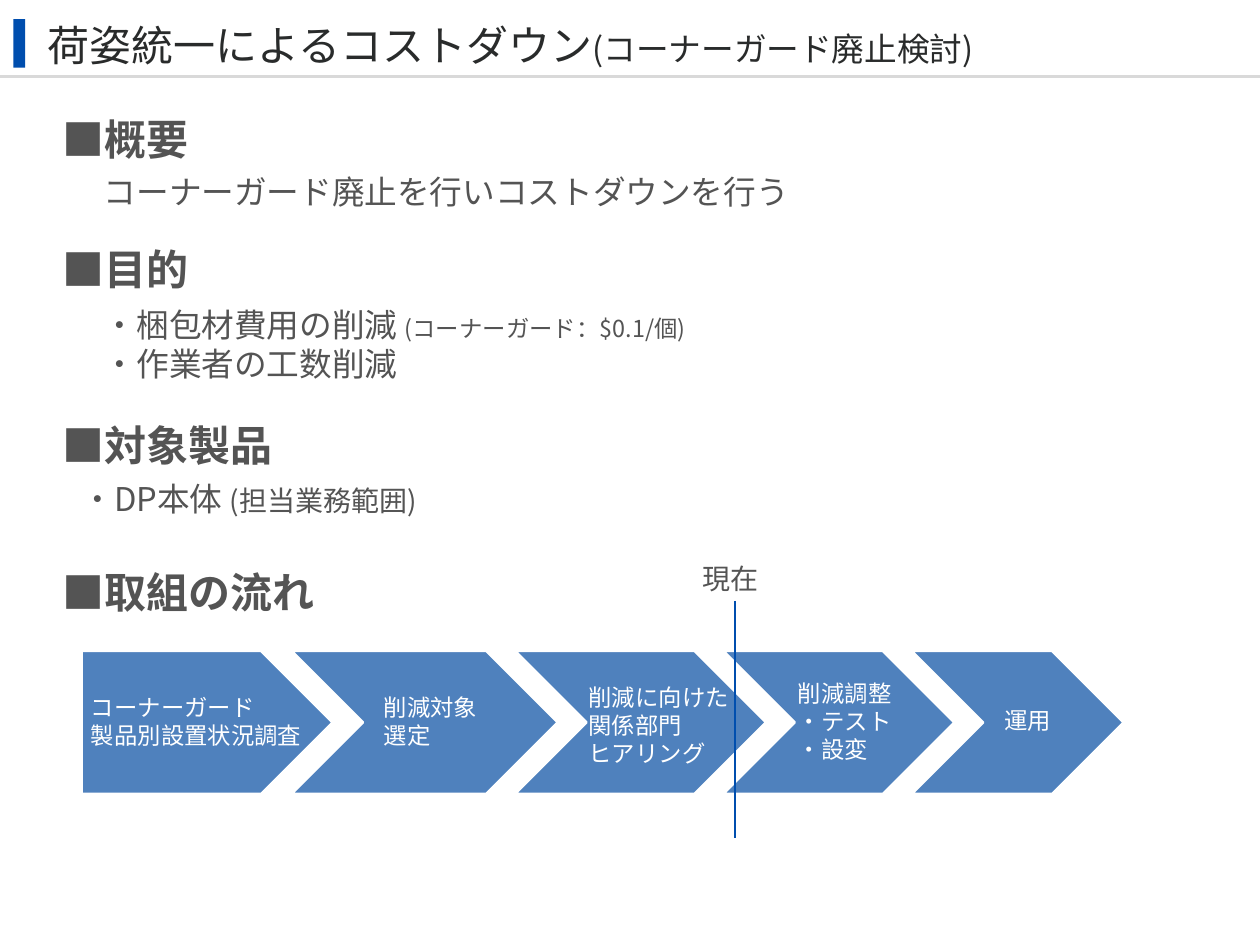
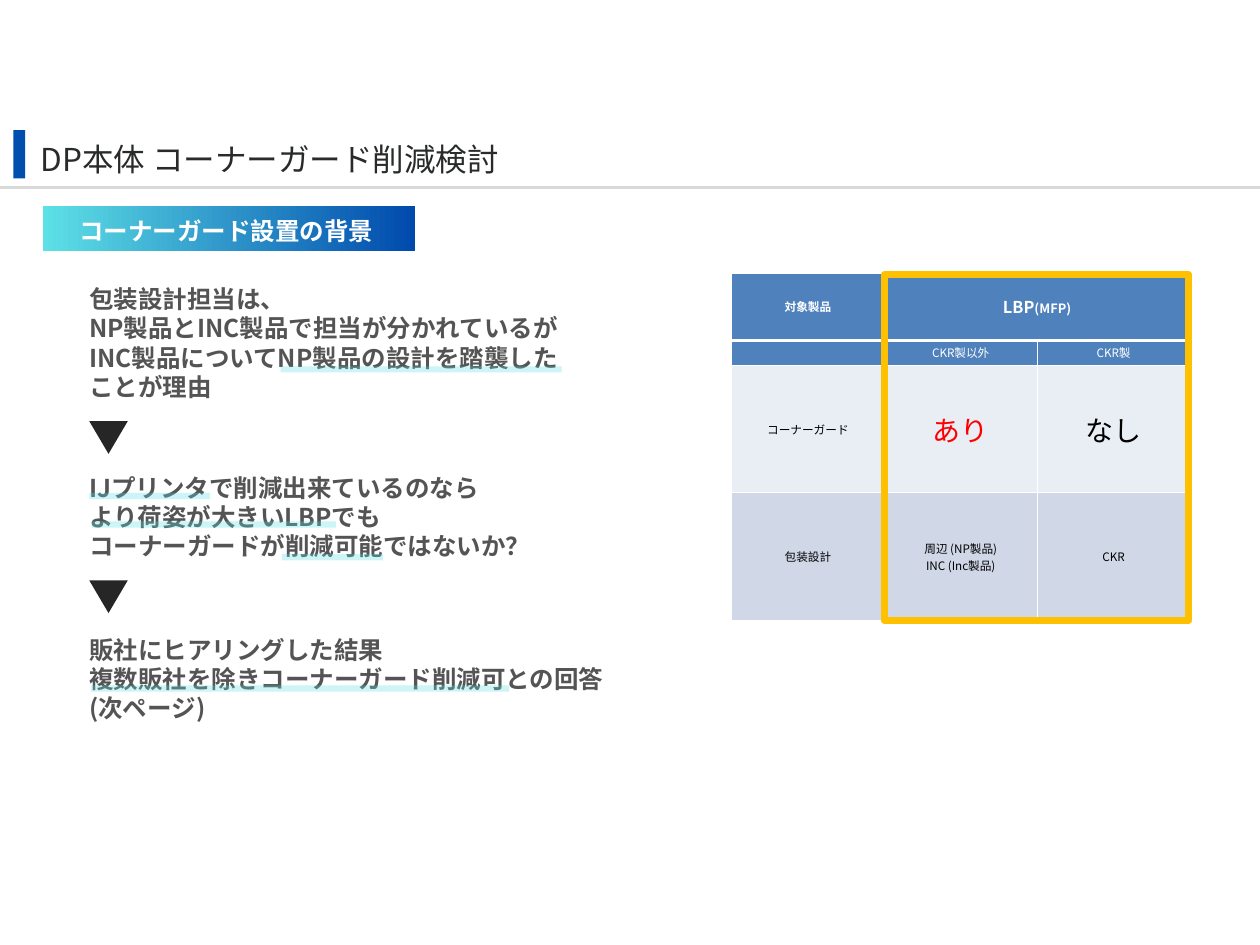
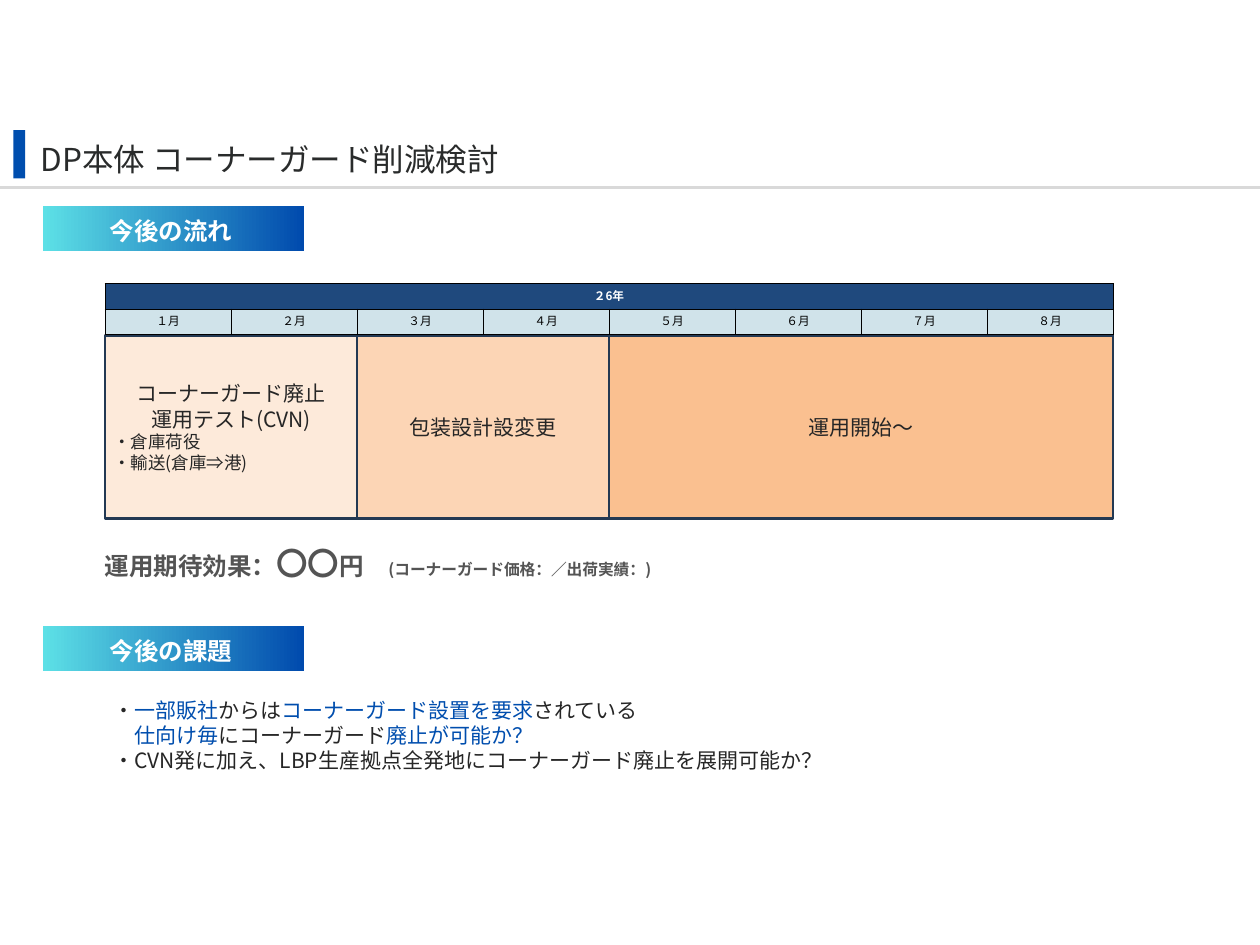
from dataclasses import dataclass
from typing import Optional

from lxml import etree
from pptx import Presentation
from pptx import util as u
from pptx.dml import color as dml
from pptx.enum import shapes, text
from pptx.oxml import ns
from pptx.slide import Slide

Pt = u.Pt
FONT = "Noto Sans CJK JP"
LINE_PITCH = 1.2
LEFT, CENTER = text.PP_ALIGN.LEFT, text.PP_ALIGN.CENTER
TOP, MIDDLE = text.MSO_ANCHOR.TOP, text.MSO_ANCHOR.MIDDLE
COLORS = {
    "accent": "004EAE", "rule": "D9D9D9", "title": "292B2B", "body": "545454",
    "dark": "262626", "white": "FFFFFF", "black": "000000", "red": "FF0000",
    "step": "4F81BD", "frame": "FFC000", "marker": "5CDFE5",
    "band_start": "5DE0E6", "band_end": "004AAD",
    "row_light": "E9EDF4", "row_dark": "D0D8E8",
    "year": "1F497D", "month": "D0E3EA", "phase_line": "233953",
    "phase_test": "FDEADA", "phase_design": "FCD5B5", "phase_run": "FAC090",
}


@dataclass
class Span:
    text: str
    size: float
    color: str = "body"
    bold: bool = False


@dataclass
class Line:
    spans: list[Span]
    align: text.PP_ALIGN = LEFT
    pitch: Optional[float] = None
    indent: float = 0


@dataclass
class Area:
    left: float
    top: float
    width: float
    height: float

    def lengths(self) -> tuple:
        return Pt(self.left), Pt(self.top), Pt(self.width), Pt(self.height)


@dataclass
class Step:
    left: float
    width: float
    text_left: float
    text_top: float
    lines: list[str]


@dataclass
class Phase:
    months: int
    fill: str
    lines: list[Line]


@dataclass
class Cell:
    spans: list[list[Span]]
    fill: str
    bottom: float = 1


def rgb(name: str) -> dml.RGBColor:
    return dml.RGBColor.from_string(COLORS[name])


def same(lines: list[str], size: float, color: str = "body", bold: bool = False,
         align: text.PP_ALIGN = LEFT) -> list[Line]:
    return [Line([Span(words, size, color, bold)], align) for words in lines]


def write(frame, lines: list[Line], natural: bool = False) -> None:
    frame.word_wrap = True
    for index, line in enumerate(lines):
        para = frame.paragraphs[0] if index == 0 else frame.add_paragraph()
        para.alignment = line.align
        if line.indent:
            para._p.get_or_add_pPr().set("marL", str(Pt(line.indent)))
        if not natural:
            tallest = max(span.size for span in line.spans)
            para.line_spacing = Pt(line.pitch or round(tallest * LINE_PITCH, 1))
        for span in line.spans:
            run = para.add_run()
            run.text = span.text
            run.font.size = Pt(span.size)
            run.font.bold = span.bold
            run.font.color.rgb = rgb(span.color)
            run.font.name = FONT
            east = etree.SubElement(run._r.get_or_add_rPr(), ns.qn("a:ea"))
            east.set("typeface", FONT)


def add_text(page: Slide, area: Area, lines: list[Line], inset: tuple = (0, 0),
             anchor: text.MSO_ANCHOR = TOP) -> None:
    frame = page.shapes.add_textbox(*area.lengths()).text_frame
    frame.margin_left = frame.margin_right = Pt(inset[0])
    frame.margin_top = frame.margin_bottom = Pt(inset[1])
    frame.vertical_anchor = anchor
    write(frame, lines)


def add_box(page: Slide, area: Area, fill: Optional[str] = None,
            line: Optional[str] = None, weight: float = 0,
            kind: shapes.MSO_SHAPE = shapes.MSO_SHAPE.RECTANGLE):
    box = page.shapes.add_shape(kind, *area.lengths())
    box.shadow.inherit = False
    if fill:
        box.fill.solid()
        box.fill.fore_color.rgb = rgb(fill)
    else:
        box.fill.background()
    if line:
        box.line.color.rgb = rgb(line)
        box.line.width = Pt(weight)
    else:
        box.line.fill.background()
    return box


def add_line(page: Slide, start: tuple, end: tuple, color: str, weight: float) -> None:
    line = page.shapes.add_connector(
        shapes.MSO_CONNECTOR.STRAIGHT, *(Pt(value) for value in start + end))
    line.line.color.rgb = rgb(color)
    line.line.width = Pt(weight)
    etree.SubElement(line._element.spPr, ns.qn("a:effectLst"))


def add_title(page: Slide, left: float, top: float, bar_top: float,
              spans: list[Span]) -> None:
    add_box(page, Area(11.5, bar_top, 10, 41.5), "accent")
    rule = bar_top + 49.2
    add_line(page, (0, rule), (1080, rule), "rule", 3)
    add_text(page, Area(left, top, 984, 40), [Line(spans, pitch=40.5)])


def add_study_title(page: Slide) -> None:
    add_title(page, 35, 111.5, 111.5,
              [Span("DP本体 コーナーガード削減検討", 27, "title")])


def add_band(page: Slide, top: float, width: float, words: str) -> None:
    band = add_box(page, Area(37, top, width, 38.5), "band_start")
    band.fill.gradient()
    band.fill.gradient_angle = 0
    for stop, name, place in zip(band.fill.gradient_stops,
                                 ("band_start", "band_end"), (0, 1)):
        stop.color.rgb = rgb(name)
        stop.position = place
    label = Line([Span(words, 21, "white", True)], CENTER, 22)
    add_text(page, Area(50.5, top + 3, width - 32, 39.5), [label], (3, 3), MIDDLE)


def add_marker(page: Slide, left: float, top: float, width: float) -> None:
    marker = add_box(page, Area(left, top, width, 5.3), "marker")
    tint = marker._element.spPr.find(f".//{ns.qn('a:srgbClr')}")
    etree.SubElement(tint, ns.qn("a:alpha")).set("val", "30000")


def style_cell(target, cell: Cell, edge: str, anchor: text.MSO_ANCHOR) -> None:
    target.margin_left = target.margin_right = Pt(5)
    target.margin_top = target.margin_bottom = Pt(2.8)
    target.vertical_anchor = anchor
    if cell.spans:
        write(target.text_frame, [Line(spans, CENTER) for spans in cell.spans], True)
    else:
        para = target.text_frame.paragraphs[0]
        etree.SubElement(para._p, ns.qn("a:endParaRPr")).set("sz", "1000")
    props = target._tc.get_or_add_tcPr()
    for side in "LRTB":
        weight = cell.bottom if side == "B" else 1
        border = etree.SubElement(props, ns.qn(f"a:ln{side}"), w=str(Pt(weight)))
        solid = etree.SubElement(border, ns.qn("a:solidFill"))
        etree.SubElement(solid, ns.qn("a:srgbClr")).set("val", COLORS[edge])
    target.fill.solid()
    target.fill.fore_color.rgb = rgb(cell.fill)


def add_grid(page: Slide, area: Area, heights: list[float], rows: list[list[Cell]],
             merge_from: int, edge: str, anchor: text.MSO_ANCHOR) -> None:
    columns = len(rows[-1])
    table = page.shapes.add_table(len(rows), columns, *area.lengths()).table
    table.first_row = table.horz_banding = False
    for column in table.columns:
        column.width = Pt(area.width / columns)
    for row, height in zip(table.rows, heights):
        row.height = Pt(height)
    table.cell(0, merge_from).merge(table.cell(0, columns - 1))
    for row_index, row in enumerate(rows):
        padded = row + [Cell([], row[-1].fill, row[-1].bottom)] * (columns - len(row))
        for column_index, cell in enumerate(padded):
            style_cell(table.cell(row_index, column_index), cell, edge, anchor)


def build_overview(page: Slide) -> None:
    add_title(page, 41, 19, 16.5, [
        Span("荷姿統一によるコストダウン", 36, "title"),
        Span("(コーナーガード廃止検討)", 28, "title")])
    for words, top in (("■概要", 97), ("■目的", 209), ("■対象製品", 360),
                       ("■取組の流れ", 486)):
        add_text(page, Area(53.5, top, 290, 44), same([words], 36, bold=True))
    add_text(page, Area(89, 147, 809, 34),
             same(["コーナーガード廃止を行いコストダウンを行う"], 28))
    add_text(page, Area(89, 261.5, 809, 68), [
        Line([Span("・梱包材費用の削減 ", 28), Span("(コーナーガード：$0.1/個)", 20)]),
        Line([Span("・作業者の工数削減", 28)])])
    add_text(page, Area(70, 410.5, 338, 34),
             [Line([Span("・DP本体 ", 28), Span("(担当業務範囲)", 24)])])
    steps = [
        Step(70, 215, 78, 594, ["コーナーガード", "製品別設置状況調査"]),
        Step(250, 228, 329, 594, ["削減対象", "選定"]),
        Step(441.5, 215, 504.5, 585.5, ["削減に向けた", "関係部門", "ヒアリング"]),
        Step(620, 198, 684, 582.5, ["削減調整", "・テスト", "・設変"]),
        Step(781.5, 181.5, 861, 605, ["運用"]),
    ]
    for index, step in enumerate(steps):
        kind = shapes.MSO_SHAPE.CHEVRON if index else shapes.MSO_SHAPE.PENTAGON
        add_box(page, Area(step.left, 558, step.width, 122.5), "step", "white", 2, kind)
    for step in steps:
        add_text(page, Area(step.text_left, step.text_top, 186, 24 * len(step.lines)),
                 same(step.lines, 20, "white"))
    add_line(page, (630, 515), (630, 718), "accent", 2.25)
    add_text(page, Area(595, 478, 71, 36), same(["現在"], 24), (7.2, 3.6))


def build_background(page: Slide) -> None:
    add_study_title(page)

    def small(words: str, color: str = "black", bold: bool = False) -> list[Span]:
        return [Span(words, 10, color, bold)]

    rows = [
        [Cell([small("対象製品", "white", True)], "step", 3),
         Cell([[Span("LBP", 14, "white", True), Span("(MFP)", 11, "white", True)]],
              "step", 3)],
        [Cell([], "step"), Cell([small("CKR製以外", "white")], "step"),
         Cell([small("CKR製", "white")], "step")],
        [Cell([small("コーナーガード")], "row_light"),
         Cell([[Span("あり", 24, "red")]], "row_light"),
         Cell([[Span("なし", 24, "black")]], "row_light")],
        [Cell([small("包装設計")], "row_dark"),
         Cell([small("周辺 (NP製品)"), small("INC (Inc製品)")], "row_dark"),
         Cell([small("CKR")], "row_dark")],
    ]
    add_grid(page, Area(627, 234, 393, 298), [58, 21, 109.5, 109.5], rows, 1,
             "white", MIDDLE)
    add_box(page, Area(758, 235.5, 261, 296.5), None, "frame", 6)
    add_band(page, 177, 318.5, "コーナーガード設置の背景")
    reasons = [
        (243.5, ["包装設計担当は、", "NP製品とINC製品で担当が分かれているが",
                 "INC製品についてNP製品の設計を踏襲した", "ことが理由"]),
        (405, ["IJプリンタで削減出来ているのなら", "より荷姿が大きいLBPでも",
               "コーナーガードが削減可能ではないか？"]),
        (544, ["販社にヒアリングした結果",
               "複数販社を除きコーナーガード削減可との回答", "(次ページ)"]),
    ]
    for top, lines in reasons:
        add_text(page, Area(76.5, top, 482, 25.2 * len(lines)),
                 same(lines, 21, bold=True))
    for top in (361, 497.5):
        arrow = add_box(page, Area(76.5, top, 33, 28), "dark",
                        kind=shapes.MSO_SHAPE.ISOSCELES_TRIANGLE)
        arrow.rotation = 180
    for left, top, width in ((240.5, 314, 241), (78.5, 447, 209.5), (241.5, 475, 87),
                             (76.5, 422.5, 103.5), (78, 587.5, 358.5)):
        add_marker(page, left, top, width)


def build_schedule(page: Slide) -> None:
    add_study_title(page)
    add_band(page, 177, 224, "今後の流れ")
    left, month_width = 90, 108
    phases = [
        Phase(2, "phase_test",
              same(["コーナーガード廃止", "運用テスト(CVN)"], 18, "dark", align=CENTER)
              + same(["・倉庫荷役", "・輸送(倉庫⇒港)"], 15, "dark")),
        Phase(2, "phase_design", same(["包装設計設変更"], 18, "dark", align=CENTER)),
        Phase(4, "phase_run", same(["運用開始～"], 18, "dark", align=CENTER)),
    ]
    for phase in phases:
        width = phase.months * month_width
        box = add_box(page, Area(left, 287.5, width, 157), phase.fill, "phase_line", 2)
        box.text_frame.vertical_anchor = MIDDLE
        write(box.text_frame, phase.lines)
        left += width
    rows = [
        [Cell([[Span("２6年", 10, "white", True)]], "year")],
        [Cell([[Span(f"{digit}月", 10, "black")]], "month") for digit in "１２３４５６７８"],
    ]
    add_grid(page, Area(90, 243, 864, 44), [22, 22], rows, 0, "black", TOP)
    add_band(page, 536.5, 224, "今後の課題")
    add_text(page, Area(90, 594, 684, 73), [
        Line([Span("・", 18, "dark"), Span("一部販社", 18, "accent"),
              Span("からは", 18, "dark"),
              Span("コーナーガード設置を要求", 18, "accent"),
              Span("されている", 18, "dark")]),
        Line([Span("仕向け毎", 18, "accent"), Span("にコーナーガード", 18, "dark"),
              Span("廃止が可能か？", 18, "accent")], indent=18),
        Line([Span("・CVN発に加え、LBP生産拠点全発地にコーナーガード廃止を展開可能か？",
                   18, "dark")])], (7.2, 3.6))
    add_text(page, Area(90, 466, 864, 32.5), [Line([
        Span("運用期待効果：", 21, bold=True), Span("〇〇", 27, bold=True),
        Span("円　", 21, bold=True),
        Span("(コーナーガード価格：／出荷実績：)", 13.5, bold=True)])])


def main() -> None:
    deck = Presentation()
    deck.slide_width, deck.slide_height = Pt(1080), Pt(810)
    for build in (build_overview, build_background, build_schedule):
        build(deck.slides.add_slide(deck.slide_layouts[6]))
    deck.save("out.pptx")


if __name__ == "__main__":
    main()
